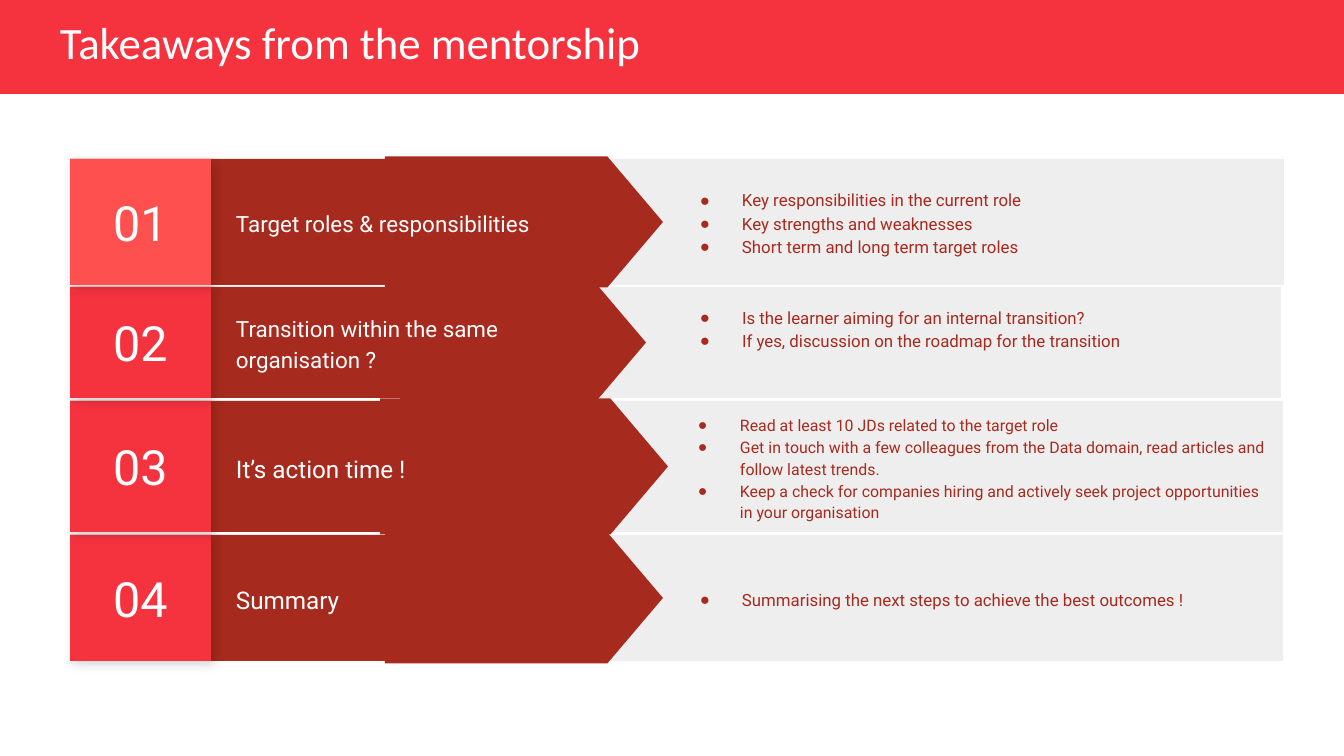
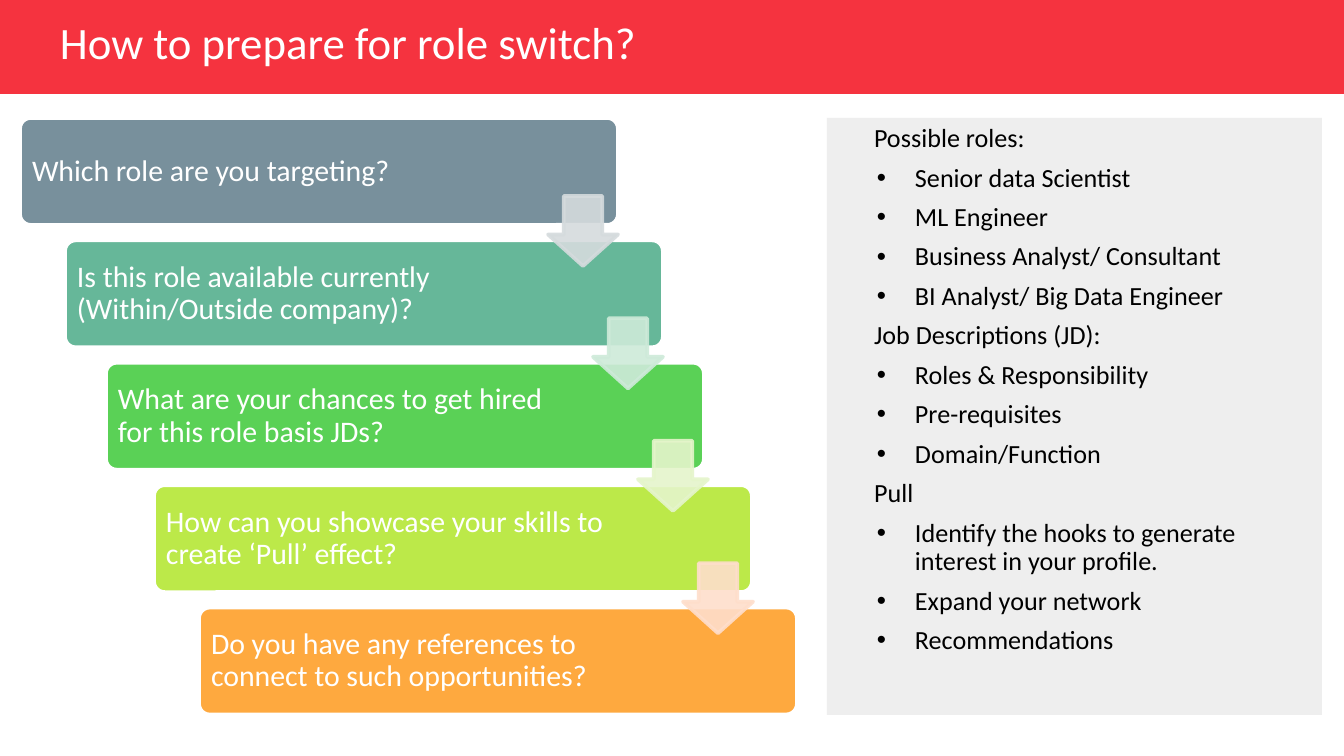
from lxml import etree
from pptx import Presentation
from pptx.dml.color import RGBColor
from pptx.enum.shapes import MSO_SHAPE
from pptx.enum.text import MSO_ANCHOR, PP_ALIGN
from pptx.oxml.ns import qn
from pptx.util import Pt

RECT = MSO_SHAPE.RECTANGLE
ROUND = MSO_SHAPE.ROUNDED_RECTANGLE
DOWN = MSO_SHAPE.DOWN_ARROW
POINT = MSO_SHAPE.FLOWCHART_OFFPAGE_CONNECTOR
TOP, MIDDLE = MSO_ANCHOR.TOP, MSO_ANCHOR.MIDDLE
LEFT, CENTER = PP_ALIGN.LEFT, PP_ALIGN.CENTER

WHITE = RGBColor(0xFF, 0xFF, 0xFF)
BLACK = RGBColor(0, 0, 0)
RED = RGBColor(0xF5, 0x33, 0x3F)
CORAL = RGBColor(0xFF, 0x50, 0x50)
BRICK = RGBColor(0xA7, 0x2A, 0x1E)
RUST = RGBColor(0xB0, 0x2C, 0x20)
GREY = RGBColor(0xEE, 0xEE, 0xEE)

HEAD, BODY = "Calibri", "Roboto"
SCALE = 914400 / 134.4  # EMU in one px
WIDE, HIGH = 1344, 756

# Takeaways: label, its size, number fill, row top and height, arrow tip,
# panel right edge, bullet box (left, top, width), bullet size, bullets
ROWS = [
    ("Target roles & responsibilities", 12, CORAL, 159, 126, 663, 1284,
     (662, 159, 605), 9,
     ["Key responsibilities in the current role",
      "Key strengths and weaknesses",
      "Short term and long term target roles"]),
    ("Transition within the same organisation ?", 12, RED, 287, 111, 646, 1281,
     (662, 272, 604), 9,
     ["Is the learner aiming for an internal transition?",
      "If yes, discussion on the roadmap for the transition"]),
    ("It’s action time !", 13, RED, 401, 131, 668, 1283,
     (660, 402, 624), 8.5,
     ["Read at least 10 JDs related to the target role",
      "Get in touch with a few colleagues from the Data domain, read articles "
      "and follow latest trends.",
      "Keep a check for companies hiring and actively seek project "
      "opportunities in your organisation"]),
    ("Summary", 13, RED, 535, 126, 663, 1283,
     (662, 535, 605), 9,
     ["Summarising the next steps to achieve the best outcomes !"]),
]

# Role switch: question, left edge, fill
STEPS = [
    ("Which role are you targeting?", 20, RGBColor(0x78, 0x90, 0x9C)),
    ("Is this role available currently (Within/Outside company)?", 65,
     RGBColor(0x66, 0xB7, 0x99)),
    ("What are your chances to get hired for this role basis JDs?", 106,
     RGBColor(0x5A, 0xD1, 0x56)),
    ("How can you showcase your skills to create ‘Pull’ effect?", 154,
     RGBColor(0xBC, 0xE9, 0x49)),
    ("Do you have any references to connect to such opportunities?", 199,
     RGBColor(0xFE, 0xA9, 0x3F)),
]
TINTS = [RGBColor(0xD5, 0xDB, 0xDD), RGBColor(0xCE, 0xEA, 0xD9),
         RGBColor(0xE5, 0xF5, 0xCB), RGBColor(0xFE, 0xDE, 0xCB)]

NOTES = [
    ("Possible roles:",
     ["Senior data Scientist", "ML Engineer", "Business Analyst/ Consultant",
      "BI Analyst/ Big Data Engineer"]),
    ("Job Descriptions (JD):",
     ["Roles & Responsibility", "Pre-requisites", "Domain/Function"]),
    ("Pull",
     ["Identify the hooks to generate interest in your profile.",
      "Expand your network", "Recommendations"]),
]


def px(n):
    return round(n * SCALE)


def add(slide, kind, x, y, w, h, fill, line=None):
    shape = slide.shapes.add_shape(kind, px(x), px(y), px(w), px(h))
    shape.shadow.inherit = False
    shape.fill.solid()
    shape.fill.fore_color.rgb = fill
    if line is None:
        shape.line.fill.background()
    else:
        shape.line.color.rgb = line
        shape.line.width = Pt(2)
    return shape


def box(slide, x, y, w, h):
    return slide.shapes.add_textbox(px(x), px(y), px(w), px(h))


def bullet(para, mark, color, left, hang):
    props = para._p.get_or_add_pPr()
    props.set("marL", str(px(left)))
    props.set("indent", str(-px(hang)))
    if mark:
        tint = etree.SubElement(props, qn("a:buClr"))
        etree.SubElement(tint, qn("a:srgbClr"), val=str(color))
        etree.SubElement(props, qn("a:buFont"), typeface="Arial")
        etree.SubElement(props, qn("a:buChar"), char=mark)


def write(shape, items, font, size, color, pad=(13, 13), space=1.0, gap=0,
          align=LEFT, anchor=MIDDLE):
    """Each item is a text, mark, left indent and hang."""
    frame = shape.text_frame
    frame.word_wrap = True
    frame.vertical_anchor = anchor
    frame.margin_left = frame.margin_right = px(pad[0])
    frame.margin_top = frame.margin_bottom = px(pad[1])
    for i, (text, mark, left, hang) in enumerate(items):
        para = frame.paragraphs[0] if i == 0 else frame.add_paragraph()
        para.text = text
        bullet(para, mark, color, left, hang)
        para.alignment = align
        para.line_spacing = space
        para.space_before = Pt(gap if i else 0)
        para.font.name = font
        para.font.size = Pt(size)
        para.font.color.rgb = color


def plain(text):
    return [(text, None, 0, 0)]


def shade(shape):
    """Soft shadow to the lower right."""
    effects = shape._element.spPr.find(qn("a:effectLst"))
    drop = etree.SubElement(effects, qn("a:outerShdw"), blurRad=str(Pt(5.6)),
                            dist=str(Pt(2.2)), dir="2700000", algn="tl",
                            rotWithShape="0")
    color = etree.SubElement(drop, qn("a:srgbClr"), val="000000")
    etree.SubElement(color, qn("a:alpha"), val="17000")


def fade(shape, share):
    for color in shape._element.spPr.iter(qn("a:srgbClr")):
        etree.SubElement(color, qn("a:alpha"), val=str(share * 1000))


def start(deck, title):
    slide = deck.slides.add_slide(deck.slide_layouts[6])
    add(slide, RECT, 0, 0, WIDE, 94, RED)
    write(box(slide, 47, 17, 870, 56), plain(title), HEAD, 24, WHITE,
          pad=(13, 7), space=0.9)
    return slide


def draw_row(slide, num, row):
    label, size, fill, top, high, tip, right, spot, small, points = row
    # Panel and dark band with its pointed end
    add(slide, RECT, 505, top, right - 505, high, GREY)
    add(slide, RECT, 211, top, 375, high, BRICK)
    thick = high + 5
    long = round(thick * 2.12)
    arrow = add(slide, POINT, tip - (long + thick) / 2,
                top + (high - long) / 2, thick, long, BRICK)
    arrow.rotation = 270
    write(box(slide, 223, top + 15, 395, high - 30), plain(label), BODY, size,
          WHITE, space=1.15)
    # Number tile
    shade(add(slide, RECT, 70, top, 141, high, RUST))
    tile = add(slide, RECT, 70, top, 141, high, fill)
    write(tile, plain(f"{num:02}"), BODY, 26, WHITE, align=CENTER)
    # Bullets
    left, y, wide = spot
    write(box(slide, left, y, wide, high), [(t, "●", 67, 42) for t in points],
          BODY, small, BRICK, space=1.15)


def takeaways(deck):
    slide = start(deck, "Takeaways from the mentorship")
    for num in range(len(ROWS), 0, -1):  # upper rows lie in front
        draw_row(slide, num, ROWS[num - 1])


def switch(deck):
    slide = start(deck, "How to prepare for role switch?")
    # Side panel
    items = []
    for head, points in NOTES:
        items.append((head, None, 34, 0))
        items += [(t, "•", 75, 38) for t in points]
    write(add(slide, RECT, 827, 118, 495, 597, GREY), items, HEAD, 14, BLACK,
          pad=(13, 7), space=0.9, gap=6, anchor=TOP)
    # Staircase of questions
    pitch = 122.4
    for i, (text, x, fill) in enumerate(STEPS):
        y = 118 + i * pitch
        card = add(slide, ROUND, x, y, 598, 107, fill, WHITE)
        card.adjustments[0] = 0.1
        write(box(slide, x + 3, y + 3, 477, 101), plain(text), HEAD, 16, WHITE,
              pad=(9, 9), space=0.9)
    # Arrows between the steps
    for i, tint in enumerate(TINTS):
        arrow = add(slide, DOWN, 548 + 45 * i, 196 + i * pitch, 70, 70, tint, tint)
        arrow.adjustments[0] = 0.55
        arrow.adjustments[1] = 0.45
        fade(arrow, 90)


def main():
    deck = Presentation()
    deck.slide_width, deck.slide_height = px(WIDE), px(HIGH)
    takeaways(deck)
    switch(deck)
    deck.save("out.pptx")


if __name__ == "__main__":
    main()
